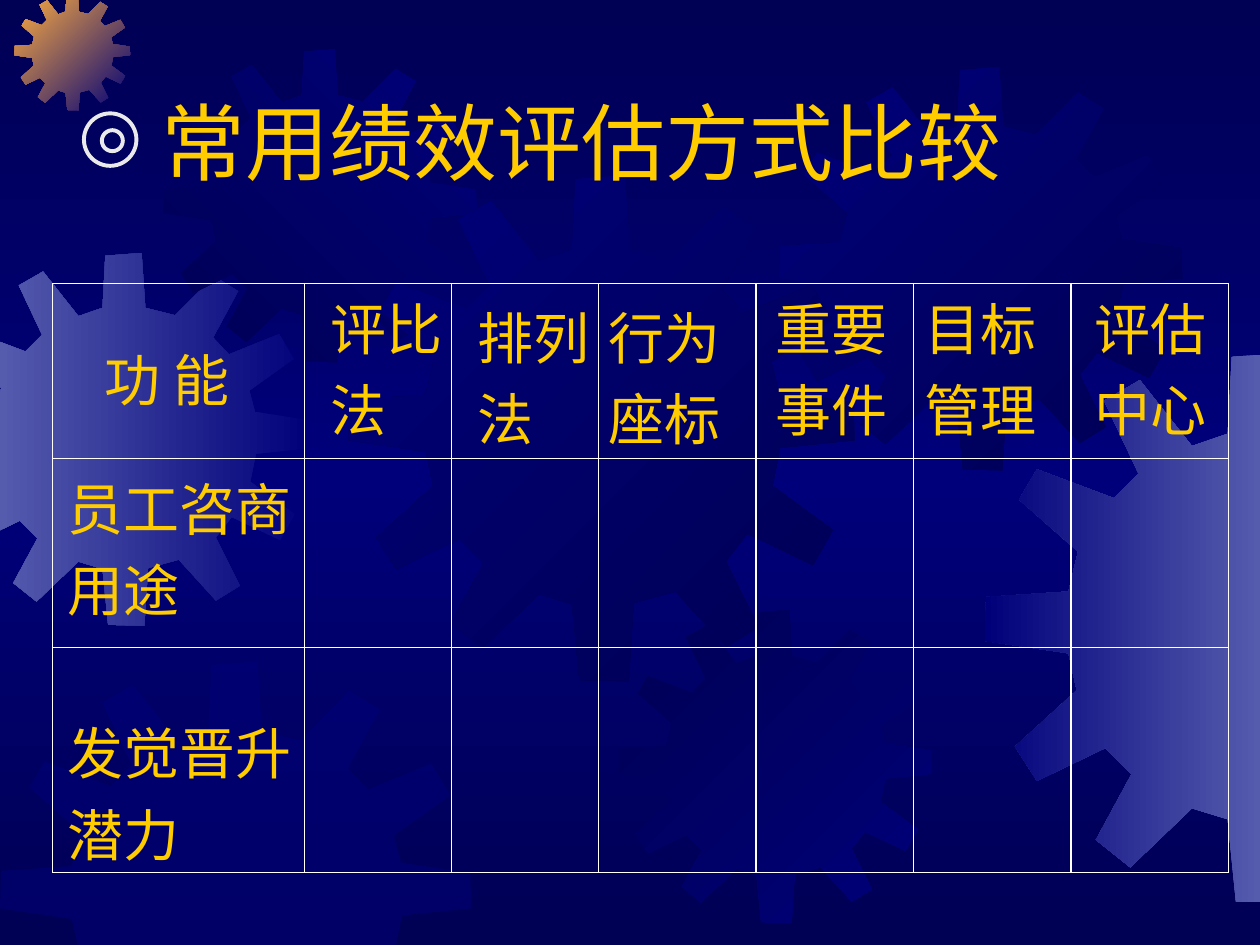
from copy import deepcopy

from lxml import etree
from pptx import Presentation
from pptx import util as u
from pptx.dml.color import RGBColor
from pptx.enum import shapes, text
from pptx.oxml.ns import qn

COLORS = {
    "night": "000054",
    "navy": "00007A",
    "steel": "555BAD",
    "orange": "FCAB40",
    "gold": "FFCC00",
    "silver": "EAEAEA",
    "white": "FFFFFF",
}
FONT = "Times New Roman"
GRID_WIDTH, GRID_HEIGHT = 120, 90
UNIT = u.Inches(10) / GRID_WIDTH

GEAR_SPAN = 401
GEAR_OUTLINE = [
    (255, 67), (223, 59), (219, 0), (180, 3), (177, 59), (151, 68),
    (113, 20), (87, 35), (112, 88), (94, 106), (38, 85), (25, 107),
    (68, 145), (61, 174), (1, 178), (0, 210), (61, 219), (67, 246),
    (22, 287), (38, 312), (88, 288), (107, 307), (81, 355), (106, 375),
    (151, 332), (177, 340), (183, 400), (222, 401), (226, 339), (259, 330),
    (299, 374), (325, 358), (299, 306), (316, 284), (368, 309), (384, 281),
    (336, 246), (342, 216), (401, 210), (400, 180), (341, 171), (335, 148),
    (383, 114), (367, 87), (313, 109), (296, 91), (323, 41), (297, 25),
]
GEARS = [
    (-5.9, 24.1, 35.5, ("navy", "steel"), 180),
    (1.4, -0.5, 11, ("navy", "orange"), 225),
    (15.6, 4.7, 29.8, ("navy", "night"), 135),
    (33.2, 16.7, 48.2, ("night", "navy"), 225),
    (0, 63, 44.9, ("navy",), 0),
    (58.9, 58.1, 29.8, ("navy", "night"), 225),
    (74.2, 6.4, 38.4, ("night", "navy"), 225),
    (93.8, 33.6, 52.4, ("steel", "navy"), 180),
]
COLUMN_WIDTHS = [24, 14, 14, 15, 15, 15, 15]
ROW_HEIGHTS = [16.7, 18, 19.3]
LABELS = [
    (0, 0, "功 能", 5, 5),
    (0, 1, "评比\n法", 2.5, 0.2),
    (0, 2, "排列\n法", 2.5, 1),
    (0, 3, "行为\n座标", 1, 1),
    (0, 4, "重要\n事件", 1.9, 0.2),
    (0, 5, "目标\n管理", 1.1, 0.2),
    (0, 6, "评估\n中心", 2.2, 0.2),
    (1, 0, "员工咨商\n用途", 1.4, 0.6),
    (2, 0, "发觉晋升\n潜力", 1.4, 5.9),
]


def span(units):
    return u.Emu(round(units * UNIT))


def rgb(name):
    return RGBColor.from_string(COLORS[name])


def write_text(frame, content, size=32, color="gold", align=text.PP_ALIGN.LEFT):
    frame.text = content
    for paragraph in frame.paragraphs:
        paragraph.alignment = align
        paragraph.font.size = u.Pt(size)
        paragraph.font.name = FONT
        paragraph.font.color.rgb = rgb(color)


def paint_gradient(fill, names, angle):
    fill.gradient()
    fill.gradient_angle = (360 - angle) % 360
    stops = fill.gradient_stops
    for stop, name, position in zip(stops, (names[0], names[-1]), (0, 1)):
        stop.color.rgb = rgb(name)
        stop.position = position


def paint_background(slide):
    fill = slide.background.fill
    paint_gradient(fill, ("night", "night"), 90)
    first = slide.background.element.find(".//" + qn("a:gs"))
    first.addnext(deepcopy(first))
    middle = fill.gradient_stops[1]
    middle.position = 0.5
    middle.color.rgb = rgb("navy")


def clip(points, axis, limit, side):
    kept = []
    for start, end in zip(points, points[1:] + points[:1]):
        start_inside = side * (start[axis] - limit) >= 0
        end_inside = side * (end[axis] - limit) >= 0
        if start_inside:
            kept.append(start)
        if start_inside != end_inside:
            share = (limit - start[axis]) / (end[axis] - start[axis])
            kept.append(tuple(a + share * (b - a) for a, b in zip(start, end)))
    return kept


def add_gear(slide, left, top, size, names, angle):
    scale = size / GEAR_SPAN
    points = [(left + x * scale, top + y * scale) for x, y in GEAR_OUTLINE]
    for axis, limit in enumerate((GRID_WIDTH, GRID_HEIGHT)):
        points = clip(clip(points, axis, 0, 1), axis, limit, -1)
    corners = [(span(x), span(y)) for x, y in points]
    builder = slide.shapes.build_freeform(*corners[0])
    builder.add_line_segments(corners[1:], close=True)
    gear = builder.convert_to_shape()
    gear.shadow.inherit = False
    gear.line.fill.background()
    if len(names) > 1:
        paint_gradient(gear.fill, names, angle)
    else:
        gear.fill.solid()
        gear.fill.fore_color.rgb = rgb(names[0])
        color = gear.element.spPr.find(".//" + qn("a:srgbClr"))
        etree.SubElement(color, qn("a:alpha"), val="50000")


def add_ring(slide, left, top, size):
    ring = slide.shapes.add_shape(
        shapes.MSO_SHAPE.OVAL, span(left), span(top), span(size), span(size))
    ring.shadow.inherit = False
    ring.fill.background()
    ring.line.color.rgb = rgb("silver")
    ring.line.width = u.Pt(2.25)


def place_title(slide, content):
    title = slide.shapes.title
    title.left, title.top, title.width, title.height = map(span, (14.2, 8, 105.8, 10.8))
    write_text(title.text_frame, content, size=48)
    title.text_frame.auto_size = text.MSO_AUTO_SIZE.NONE
    title.text_frame.vertical_anchor = text.MSO_ANCHOR.TOP
    slide.shapes.element.append(title.element)


def format_cell(cell):
    properties = cell._tc.get_or_add_tcPr()
    for side in ("lnL", "lnR", "lnT", "lnB"):
        border = etree.SubElement(properties, qn("a:" + side), w=str(u.Pt(0.75)))
        fill = etree.SubElement(border, qn("a:solidFill"))
        etree.SubElement(fill, qn("a:srgbClr"), val=COLORS["white"])
    cell.fill.background()


def add_comparison_table(slide):
    frame = slide.shapes.add_table(
        len(ROW_HEIGHTS), len(COLUMN_WIDTHS), span(5), span(27),
        span(sum(COLUMN_WIDTHS)), span(sum(ROW_HEIGHTS)))
    table = frame.table
    table.first_row = table.horz_banding = False
    for column, width in zip(table.columns, COLUMN_WIDTHS):
        column.width = span(width)
    for row, height in zip(table.rows, ROW_HEIGHTS):
        row.height = span(height)
    for cell in table.iter_cells():
        format_cell(cell)
    for row, column, content, left, top in LABELS:
        cell = table.cell(row, column)
        cell.margin_left, cell.margin_top = span(left), span(top)
        cell.margin_right = cell.margin_bottom = 0
        write_text(cell.text_frame, content)


def main():
    presentation = Presentation()
    presentation.slide_width = span(GRID_WIDTH)
    presentation.slide_height = span(GRID_HEIGHT)
    slide = presentation.slides.add_slide(presentation.slide_layouts[5])
    paint_background(slide)
    for gear in GEARS:
        add_gear(slide, *gear)
    place_title(slide, "常用绩效评估方式比较")
    add_ring(slide, 8, 10.8, 5)
    add_ring(slide, 9.7, 12.4, 2)
    add_comparison_table(slide)
    presentation.save("out.pptx")


if __name__ == "__main__":
    main()
